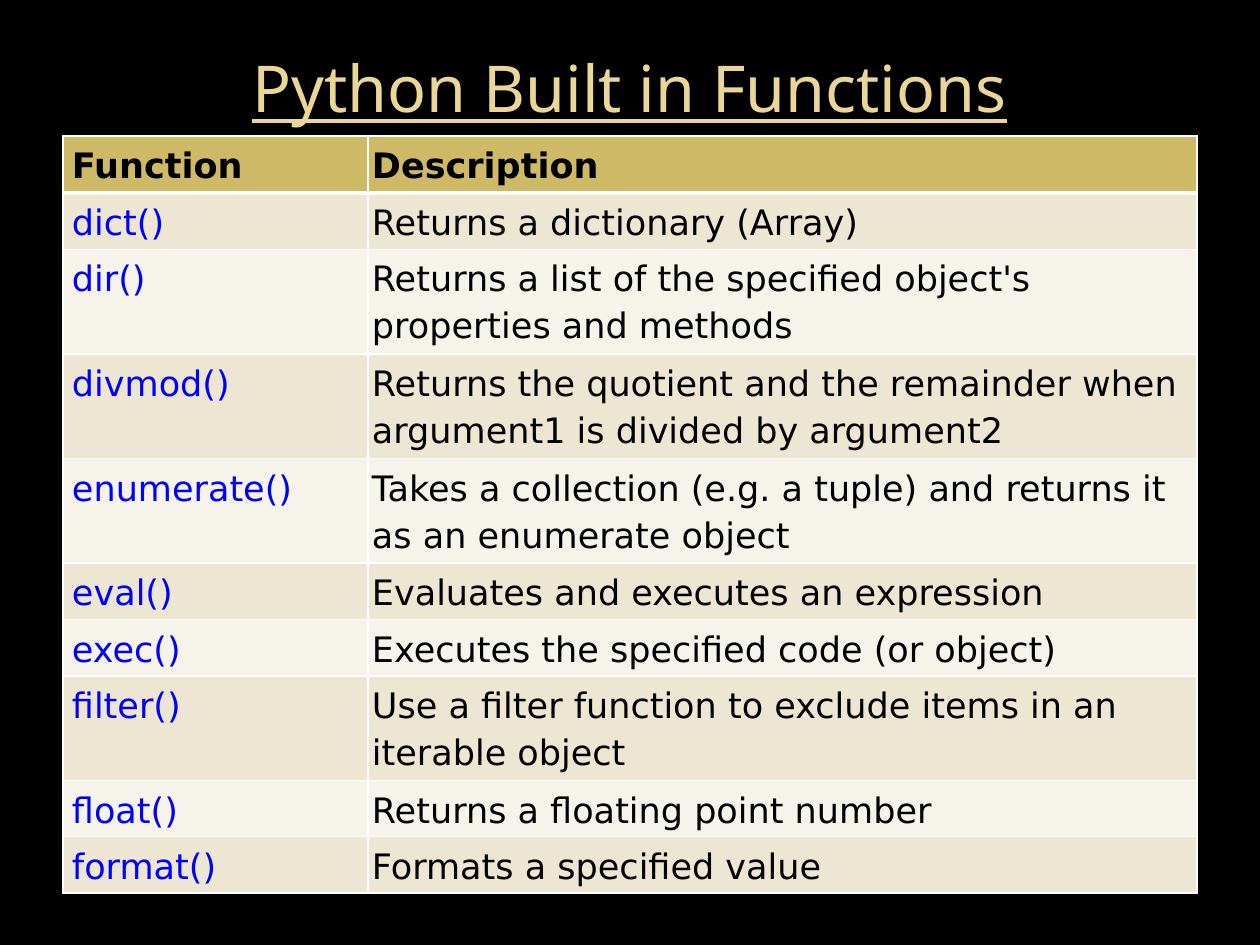
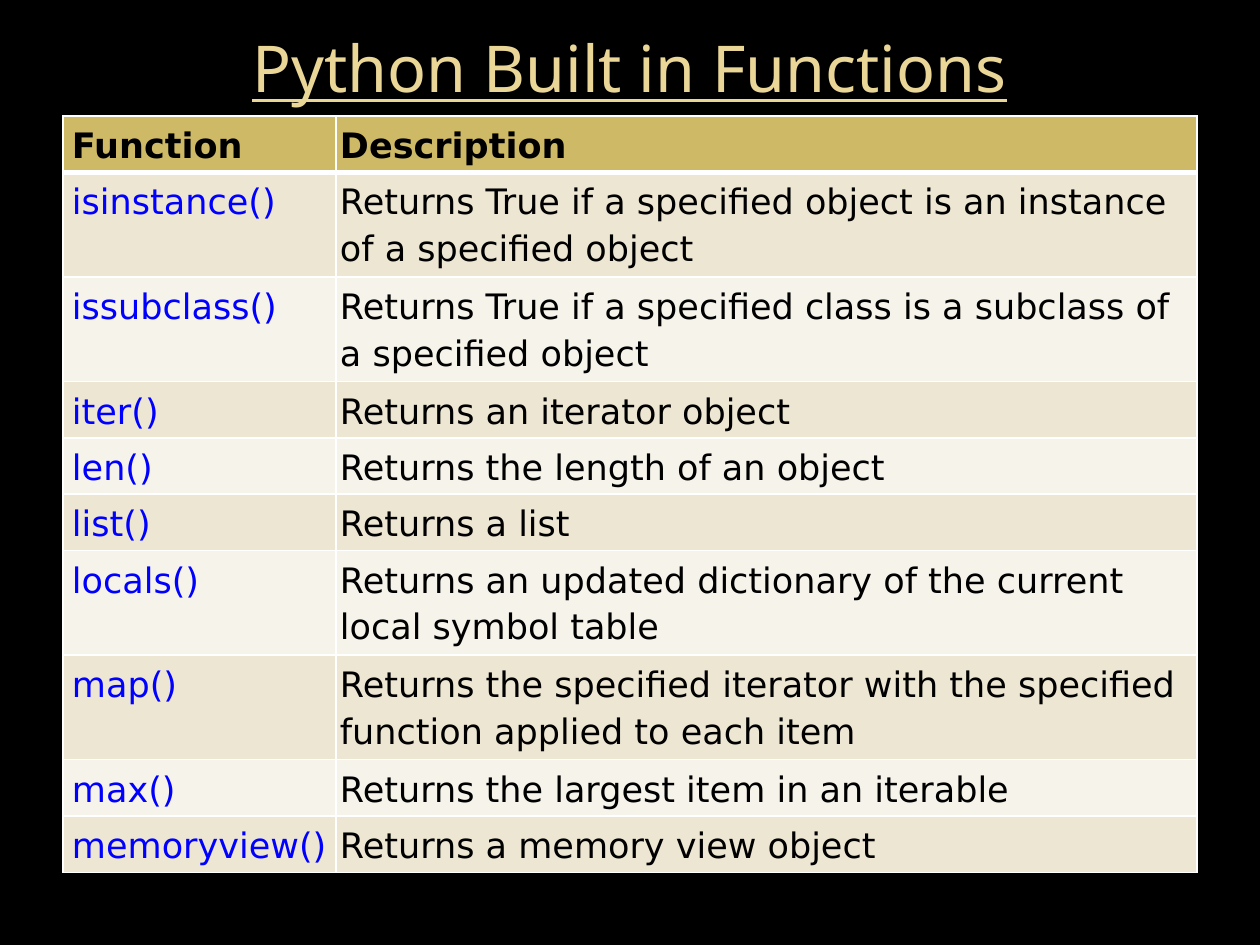
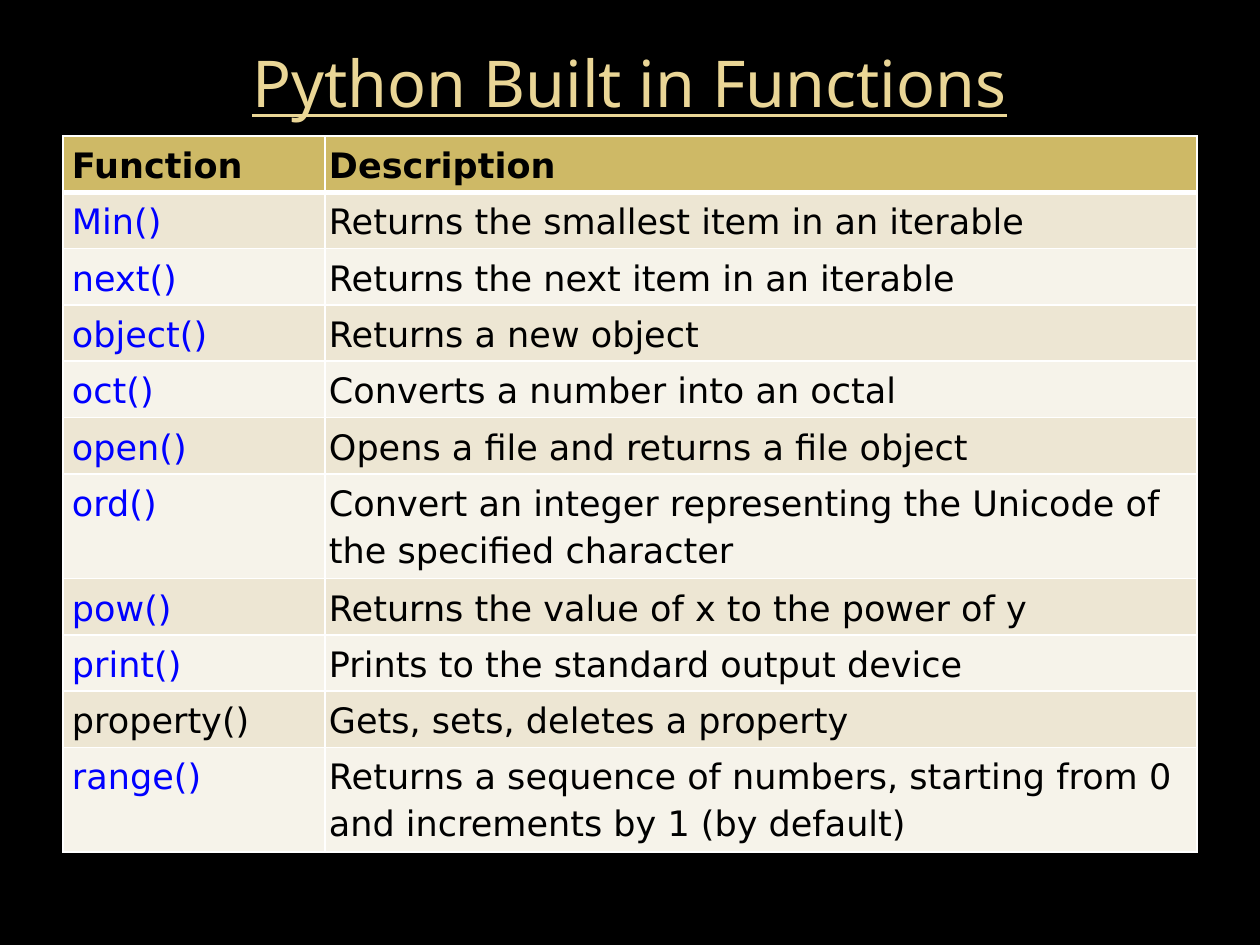
from dataclasses import dataclass

from lxml import etree
from pptx import Presentation
from pptx.dml.color import RGBColor
from pptx.enum.text import MSO_ANCHOR, PP_ALIGN
from pptx.oxml.ns import qn
from pptx.util import Emu, Pt

CENTER = PP_ALIGN.CENTER
MIDDLE = MSO_ANCHOR.MIDDLE

# ---- Content ----
TITLE = "Python Built in Functions"
HEADER = ("Function", "Description")
UNLINKED = {"property()"}  # function names kept in the body text colour

SLIDES = [
    dict(
        title_h=98, table_top=136, table_h=760, name_w=305, header_h=57,
        functions=[
            ("dict()", "Returns a dictionary (Array)"),
            ("dir()", "Returns a list of the specified object's properties and methods"),
            ("divmod()", "Returns the quotient and the remainder when argument1 is divided by argument2"),
            ("enumerate()", "Takes a collection (e.g. a tuple) and returns it as an enumerate object"),
            ("eval()", "Evaluates and executes an expression"),
            ("exec()", "Executes the specified code (or object)"),
            ("filter()", "Use a filter function to exclude items in an iterable object"),
            ("float()", "Returns a floating point number"),
            ("format()", "Formats a specified value"),
        ],
    ),
    dict(
        title_h=57, table_top=116, table_h=760, name_w=273, header_h=52,
        functions=[
            ("isinstance()", "Returns True if a specified object is an instance of a specified object"),
            ("issubclass()", "Returns True if a specified class is a subclass of a specified object"),
            ("iter()", "Returns an iterator object"),
            ("len()", "Returns the length of an object"),
            ("list()", "Returns a list"),
            ("locals()", "Returns an updated dictionary of the current local symbol table"),
            ("map()", "Returns the specified iterator with the specified function applied to each item"),
            ("max()", "Returns the largest item in an iterable"),
            ("memoryview()", "Returns a memory view object"),
        ],
    ),
    dict(
        title_h=88, table_top=136, table_h=721, name_w=262, header_h=52,
        functions=[
            ("Min()", "Returns the smallest item in an iterable"),
            ("next()", "Returns the next item in an iterable"),
            ("object()", "Returns a new object"),
            ("oct()", "Converts a number into an octal"),
            ("open()", "Opens a file and returns a file object"),
            ("ord()", "Convert an integer representing the Unicode of the specified character"),
            ("pow()", "Returns the value of x to the power of y"),
            ("print()", "Prints to the standard output device"),
            ("property()", "Gets, sets, deletes a property"),
            ("range()", "Returns a sequence of numbers, starting from 0 and increments by 1 (by default)"),
        ],
    ),
]


# ---- Theme and measures ----
@dataclass(frozen=True)
class Theme:
    background: str = "000000"
    title: str = "EAD696"
    title_end: str = "E7D081"
    header: str = "CEB966"
    bands: tuple = ("EDE6D3", "F6F3EA")
    text: str = "000000"
    function: str = "0000FF"
    border: str = "FFFFFF"
    title_font: str = "Noto Sans"
    table_font: str = "DejaVu Sans"
    title_size: float = 36.9
    table_size: int = 20
    line_spacing: float = 1.15
    thin: int = 1
    thick: int = 3


THEME = Theme()
PX_PER_INCH = 126
SLIDE_W, SLIDE_H = 1260, 945
MARGIN = 63
CONTENT_W = SLIDE_W - 2 * MARGIN
TITLE_TOP = 38
ROW_H = 52
INSET, NAME_INSET = 4, 9


def px(n):
    return Emu(round(n * 914400 / PX_PER_INCH))


def rgb(value):
    return RGBColor.from_string(value)


# ---- Parts ----
def add_title(slide, height):
    s = slide.shapes.add_textbox(px(MARGIN), px(TITLE_TOP), px(CONTENT_W), px(height))
    tf = s.text_frame
    tf.word_wrap = True
    tf.vertical_anchor = MIDDLE
    p = tf.paragraphs[0]
    p.alignment = CENTER
    r = p.add_run()
    r.text = TITLE
    font = r.font
    font.name, font.size, font.underline = THEME.title_font, Pt(THEME.title_size), True
    font.fill.gradient()
    font.fill.gradient_angle = 280
    stops = zip(font.fill.gradient_stops, (0.73, 1), (THEME.title, THEME.title_end))
    for stop, position, color in stops:
        stop.position = position
        stop.color.rgb = rgb(color)


def set_borders(cell, widths):
    """Draw borders; widths maps a side (L, R, T, B) to points."""
    tc_pr = cell._tc.get_or_add_tcPr()
    for i, (side, width) in enumerate(widths.items()):
        ln = etree.Element(qn(f"a:ln{side}"), w=str(Pt(width)))
        fill = etree.SubElement(ln, qn("a:solidFill"))
        etree.SubElement(fill, qn("a:srgbClr"), val=THEME.border)
        tc_pr.insert(i, ln)


def fill_cell(cell, text, color, fill, left_inset, header):
    cell.fill.solid()
    cell.fill.fore_color.rgb = rgb(fill)
    cell.margin_left = px(left_inset)
    cell.margin_right = cell.margin_top = cell.margin_bottom = px(INSET)
    cell.text = text
    p = cell.text_frame.paragraphs[0]
    p.line_spacing = THEME.line_spacing
    font = p.font
    font.name, font.size, font.bold = THEME.table_font, Pt(THEME.table_size), header
    font.color.rgb = rgb(color)
    sides = dict(L=THEME.thin, R=THEME.thin)
    if header:
        sides.update(T=THEME.thin, B=THEME.thick)
    else:
        sides.update(B=THEME.thin)
    set_borders(cell, sides)


def add_function_table(slide, data):
    rows = [HEADER, *data["functions"]]
    s = slide.shapes.add_table(len(rows), len(HEADER), px(MARGIN), px(data["table_top"]),
                               px(CONTENT_W), px(data["table_h"]))
    table = s.table
    table.columns[0].width = px(data["name_w"])
    table.columns[1].width = px(CONTENT_W - data["name_w"])
    for i, (name, description) in enumerate(rows):
        header = i == 0
        table.rows[i].height = px(data["header_h"] if header else ROW_H)
        fill = THEME.header if header else THEME.bands[(i - 1) % 2]
        name_color = THEME.text if header or name in UNLINKED else THEME.function
        fill_cell(table.cell(i, 0), name, name_color, fill, NAME_INSET, header)
        fill_cell(table.cell(i, 1), description, THEME.text, fill, INSET, header)
    s.height = px(data["table_h"])


# ---- Deck ----
def main():
    prs = Presentation()
    prs.slide_width, prs.slide_height = px(SLIDE_W), px(SLIDE_H)
    for data in SLIDES:
        slide = prs.slides.add_slide(prs.slide_layouts[6])
        slide.background.fill.solid()
        slide.background.fill.fore_color.rgb = rgb(THEME.background)
        add_title(slide, data["title_h"])
        add_function_table(slide, data)
    prs.save("out.pptx")


if __name__ == "__main__":
    main()
